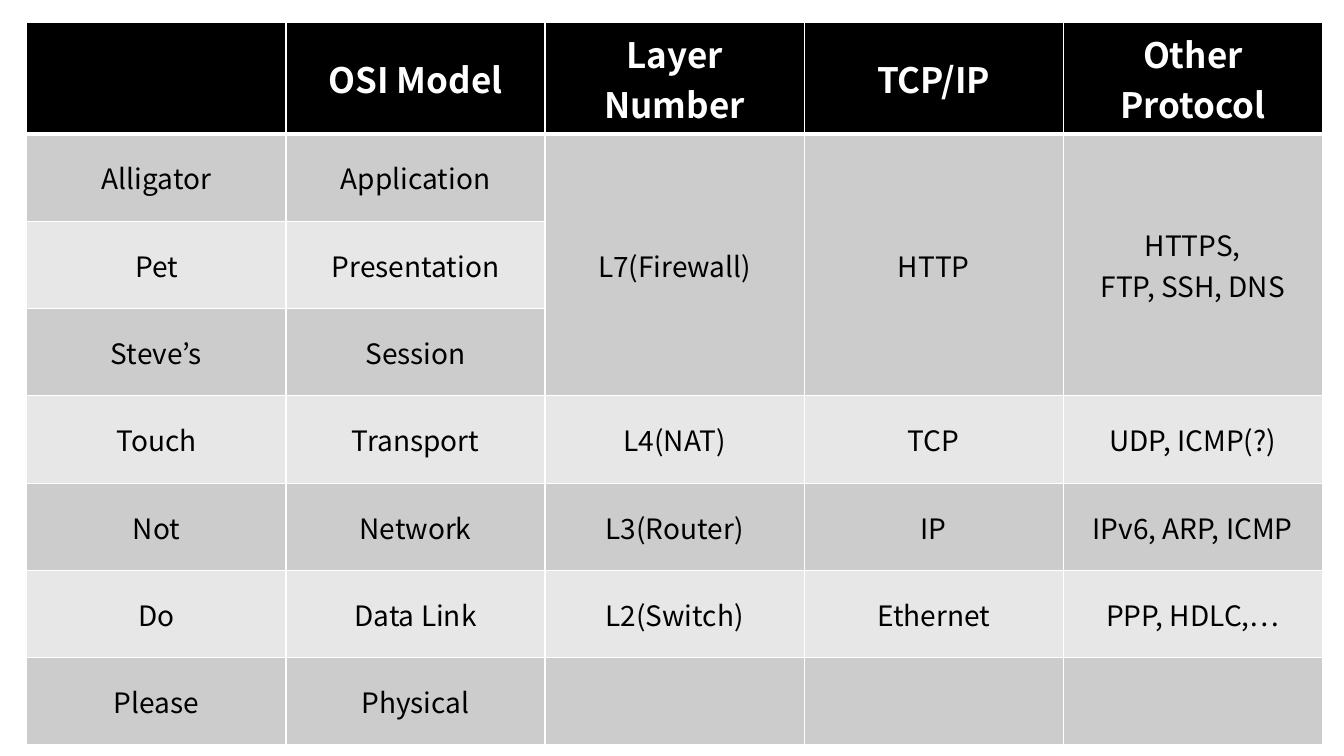
from dataclasses import dataclass

from lxml.etree import SubElement as Sub
from pptx import Presentation
from pptx.dml.color import RGBColor as RGB
from pptx.enum.text import MSO_ANCHOR as Anchor, PP_ALIGN as Align
from pptx.oxml.ns import qn
from pptx.table import Table, _Cell as Cell
from pptx.util import Inches, Pt

WIDE, HIGH = Inches(13.33), Inches(7.5)
LEFT, TOP = round(WIDE * 0.02), round(HIGH * 0.03)
COL, ROW = Inches(2.57), Inches(6.93 / 8)
FONT = "Noto Sans CJK KR"
HUES = {
    "head": "000000",
    "odd": "CCCCCC",
    "even": "E7E7E7",
    "rule": "FFFFFF",
    "light": "FFFFFF",
    "dark": "000000",
}


@dataclass(frozen=True)
class Look:
    fill: str
    ink: str
    size: int
    bold: bool
    over: int
    under: int


@dataclass(frozen=True)
class Layer:
    hint: str
    name: str
    number: str = ""
    suite: str = ""
    other: str = ""
    span: int = 1

    def texts(self) -> list[str]:
        return [self.hint, self.name, self.number, self.suite, self.other]


HEAD = Look("head", "light", 25, True, 1, 3)
FIRST = Look("odd", "dark", 20, False, 3, 1)
ODD = Look("odd", "dark", 20, False, 1, 1)
EVEN = Look("even", "dark", 20, False, 1, 1)

LAYERS = [
    Layer("", "OSI Model", "Layer Number", "TCP/IP", "Other Protocol"),
    Layer("Alligator", "Application", "L7(Firewall)", "HTTP", "HTTPS,\nFTP, SSH, DNS", 3),
    Layer("Pet", "Presentation"),
    Layer("Steve’s", "Session"),
    Layer("Touch", "Transport", "L4(NAT)", "TCP", "UDP, ICMP(?)"),
    Layer("Not", "Network", "L3(Router)", "IP", "IPv6, ARP, ICMP"),
    Layer("Do", "Data Link", "L2(Switch)", "Ethernet", "PPP, HDLC,…"),
    Layer("Please", "Physical"),
]


def pick(row: int) -> Look:
    if row < 2:
        return (HEAD, FIRST)[row]
    return ODD if row % 2 else EVEN


def edge(cell: Cell, look: Look) -> None:
    props = cell._tc.get_or_add_tcPr()
    for side, width in (("L", 1), ("R", 1), ("T", look.over), ("B", look.under)):
        line = Sub(props, qn(f"a:ln{side}"), w=str(Pt(width)))
        Sub(Sub(line, qn("a:solidFill")), qn("a:srgbClr"), val=HUES["rule"])


def write(cell: Cell, text: str, look: Look) -> None:
    frame = cell.text_frame
    for i, part in enumerate(text.split("\n")):
        para = frame.add_paragraph() if i else frame.paragraphs[0]
        para.alignment = Align.CENTER
        run = para.add_run()
        run.text = part
        font = run.font
        font.name, font.size, font.bold = FONT, Pt(look.size), look.bold
        font.color.rgb = RGB.from_string(HUES[look.ink])
        Sub(font._element, qn("a:ea"), typeface=FONT)


def paint(cell: Cell, text: str, look: Look) -> None:
    edge(cell, look)
    cell.fill.solid()
    cell.fill.fore_color.rgb = RGB.from_string(HUES[look.fill])
    cell.vertical_anchor = Anchor.MIDDLE
    if text:
        write(cell, text, look)


def fill(table: Table) -> None:
    for r, layer in enumerate(LAYERS):
        for c, text in enumerate(layer.texts()):
            cell = table.cell(r, c)
            paint(cell, text, pick(r))
            if layer.span > 1 and c > 1:
                cell.merge(table.cell(r + layer.span - 1, c))


def main() -> None:
    deck = Presentation()
    deck.slide_width, deck.slide_height = WIDE, HIGH
    slide = deck.slides.add_slide(deck.slide_layouts[6])
    rows, cols = len(LAYERS), len(LAYERS[0].texts())
    table = slide.shapes.add_table(rows, cols, LEFT, TOP, COL * cols, ROW * rows).table
    table.horz_banding = False
    fill(table)
    deck.save("out.pptx")


if __name__ == "__main__":
    main()
